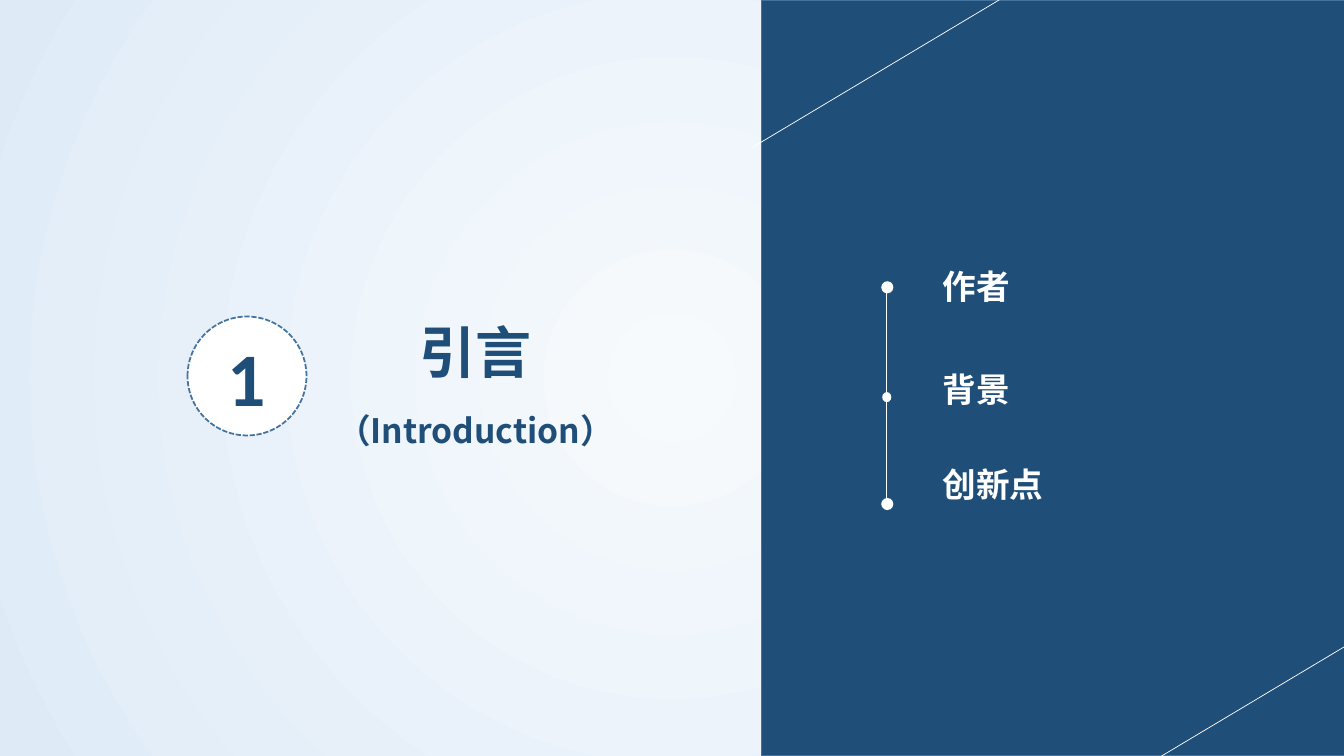
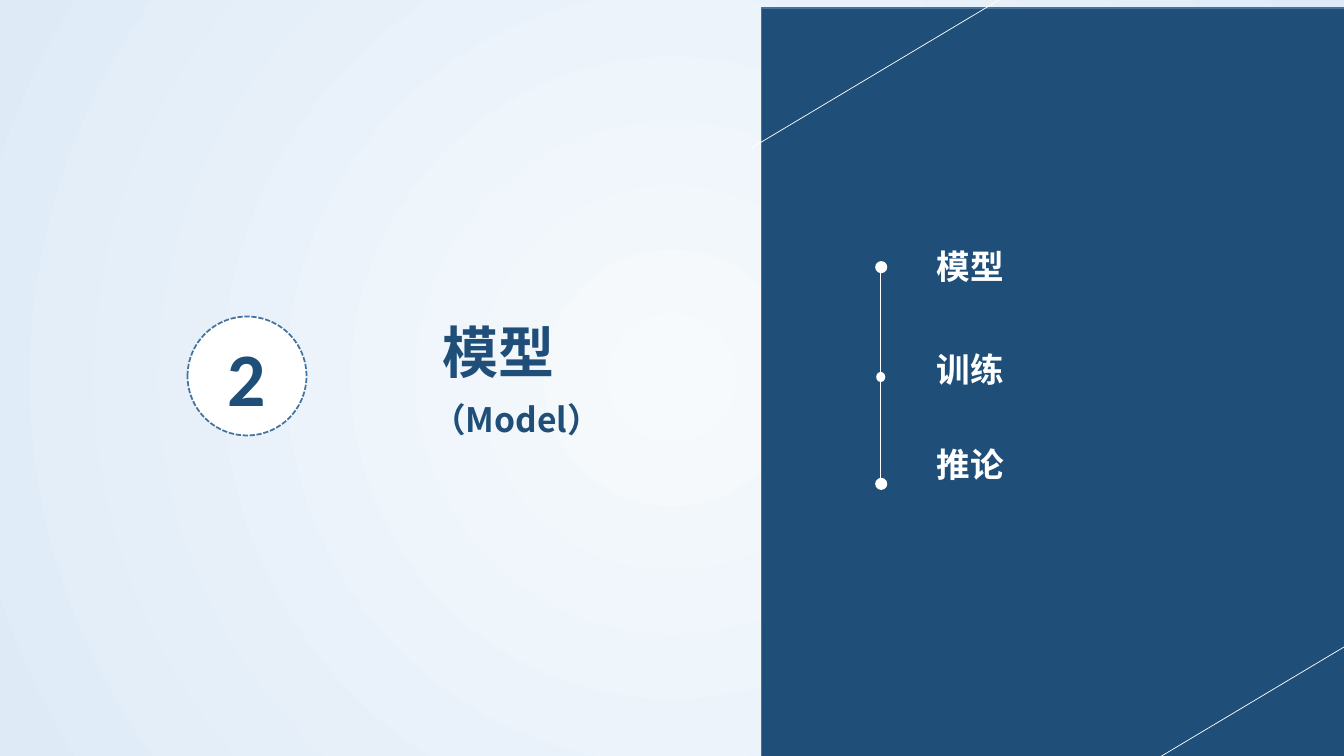
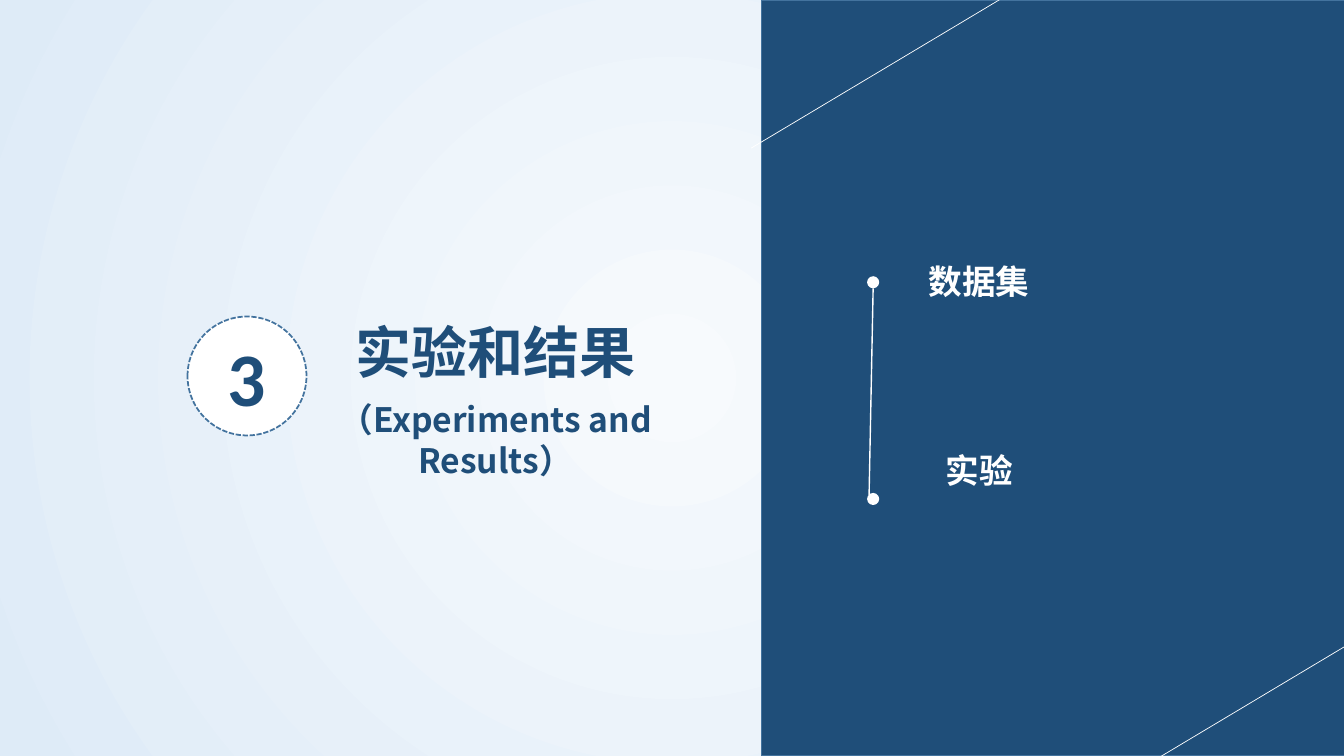
from collections import namedtuple
from lxml.etree import SubElement as Sub
from pptx import Presentation
from pptx.dml.color import RGBColor as RGB
from pptx.enum.dml import MSO_LINE as Dash
from pptx.enum.shapes import MSO_CONNECTOR as Conn, MSO_SHAPE as Kind
from pptx.enum.text import MSO_ANCHOR as Anchor, MSO_AUTO_SIZE as Fit, PP_ALIGN as Align
from pptx.oxml.ns import qn
from pptx.util import Pt

PX = 9144
PT = 0.72

Theme = namedtuple("Theme", "navy edge white inner outer cjk latin digit title text lead")
T = Theme(
    navy=RGB.from_string("1F4E79"),
    edge=RGB.from_string("43739E"),
    white=RGB.from_string("FFFFFF"),
    inner=RGB.from_string("F7FAFD"),
    outer=RGB.from_string("DEEBF7"),
    cjk="Noto Sans CJK SC",
    latin="Calibri",
    digit=54,
    title=40,
    text=24,
    lead=34.75,
)

Part = namedtuple("Part", "title tbox sub sbox top x y items dots wires")
THREE = [(-51, 20, 12, 12), (-50, 130, 9, 10), (-51, 235, 12, 12)]
PAIR = [(-46, 32, -46, 131), (-46, 139, -46, 238)]
parts = [
    Part("引言", (315, 310, 313, 77), "（Introduction）", (315, 402, 313, 50), 0, 925, 259,
         [("作者", 0, 0), ("背景", 110, 0), ("创新点", 103, 0)], THREE, PAIR),
    Part("模型", (319, 310, 351, 77), "（Model）", (356, 391, 313, 50), 8, 919, 239,
         [("模型", 0, 0), ("训练", 110, 0), ("推论", 103, 0)], THREE, PAIR),
    Part("实验和结果", (316, 310, 351, 77), "（Experiments and Results）", (284, 391, 415, 91), 0, 911, 254,
         [("数据集", 0, 0), ("实验", 196, 17)], THREE[::2], [(-45, 32, -49, 237)]),
]


def style(par, size, color, face=T.cjk, align=Align.CENTER):
    par.alignment = align
    for run in par.runs:
        run.font.size = Pt(size)
        run.font.bold = True
        run.font.name = face
        run.font.color.rgb = color
        Sub(run.font._element, qn("a:ea"), typeface=face)


def draw(slide, kind, box, fill, edge=None, width=1):
    shape = slide.shapes.add_shape(kind, *[v * PX for v in box])
    shape.shadow.inherit = False
    shape.fill.solid()
    shape.fill.fore_color.rgb = fill
    if edge is None:
        shape.line.fill.background()
    else:
        shape.line.color.rgb = edge
        shape.line.width = Pt(width)
    return shape


prs = Presentation()
prs.slide_width, prs.slide_height = 1333 * PX, 750 * PX

back = prs.slide_master.background.fill
back.gradient()
for stop, color in zip(back.gradient_stops, (T.inner, T.outer)):
    stop.color.rgb = color
lin = prs.slide_master.element.xpath("./p:cSld/p:bg//a:lin")[0]
grad = lin.getparent()
grad.remove(lin)
ring = Sub(grad, qn("a:path"), path="circle")
Sub(ring, qn("a:fillToRect"), l="50000", t="50000", r="50000", b="50000")

for num, part in enumerate(parts, 1):
    slide = prs.slides.add_slide(prs.slide_layouts[1])
    panel = draw(slide, Kind.RECTANGLE, (755, part.top, 579, 750), T.navy, T.edge)
    slide.shapes.element.insert(2, panel.element)

    badge = draw(slide, Kind.OVAL, (186, 314, 118, 118), T.white, T.edge, 1.25)
    badge.line.dash_style = Dash.SQUARE_DOT
    badge.text_frame.text = str(num)
    badge.text_frame.vertical_anchor = Anchor.MIDDLE
    style(badge.text_frame.paragraphs[0], T.digit, T.navy, T.latin)

    title = slide.shapes.title
    sub = slide.shapes.add_textbox(0, 0, PX, PX)
    for shape, text, box, size in (
        (title, part.title, part.tbox, T.title),
        (sub, part.sub, part.sbox, T.text),
    ):
        shape.left, shape.top, shape.width, shape.height = [v * PX for v in box]
        frame = shape.text_frame
        frame.text = text
        frame.word_wrap = True
        frame.auto_size = Fit.SHAPE_TO_FIT_TEXT
        frame.vertical_anchor = Anchor.TOP
        style(frame.paragraphs[0], size, T.navy)

    body = slide.placeholders[1]
    body.left, body.top, body.width, body.height = [v * PX for v in (part.x, part.y, 296, 280)]
    frame = body.text_frame
    frame.text = "\n".join(item[0] for item in part.items)
    frame.auto_size = Fit.NONE
    frame.vertical_anchor = Anchor.TOP
    for par, (text, gap, shift) in zip(frame.paragraphs, part.items):
        prop = par._p.get_or_add_pPr()
        prop.set("marL", str(shift * PX))
        prop.set("indent", "0")
        Sub(prop, qn("a:buNone"))
        par.space_before = Pt(round(gap * PT - T.lead, 2) if gap else 0)
        style(par, T.text, T.white, align=Align.LEFT)

    wires = [(1036, -27, 745, 147, 0.5), (1398, 603, 1107, 777, 0.5)]
    for ax, ay, bx, by in part.wires:
        wires.append((part.x + ax, part.y + ay, part.x + bx, part.y + by, 1))
    for *ends, width in wires:
        wire = slide.shapes.add_connector(Conn.STRAIGHT, *[v * PX for v in ends])
        wire.line.color.rgb = T.white
        wire.line.width = Pt(width)
        Sub(wire.element.spPr, qn("a:effectLst"))

    for dx, dy, wide, high in part.dots:
        draw(slide, Kind.OVAL, (part.x + dx, part.y + dy, wide, high), T.white)

prs.save("out.pptx")
